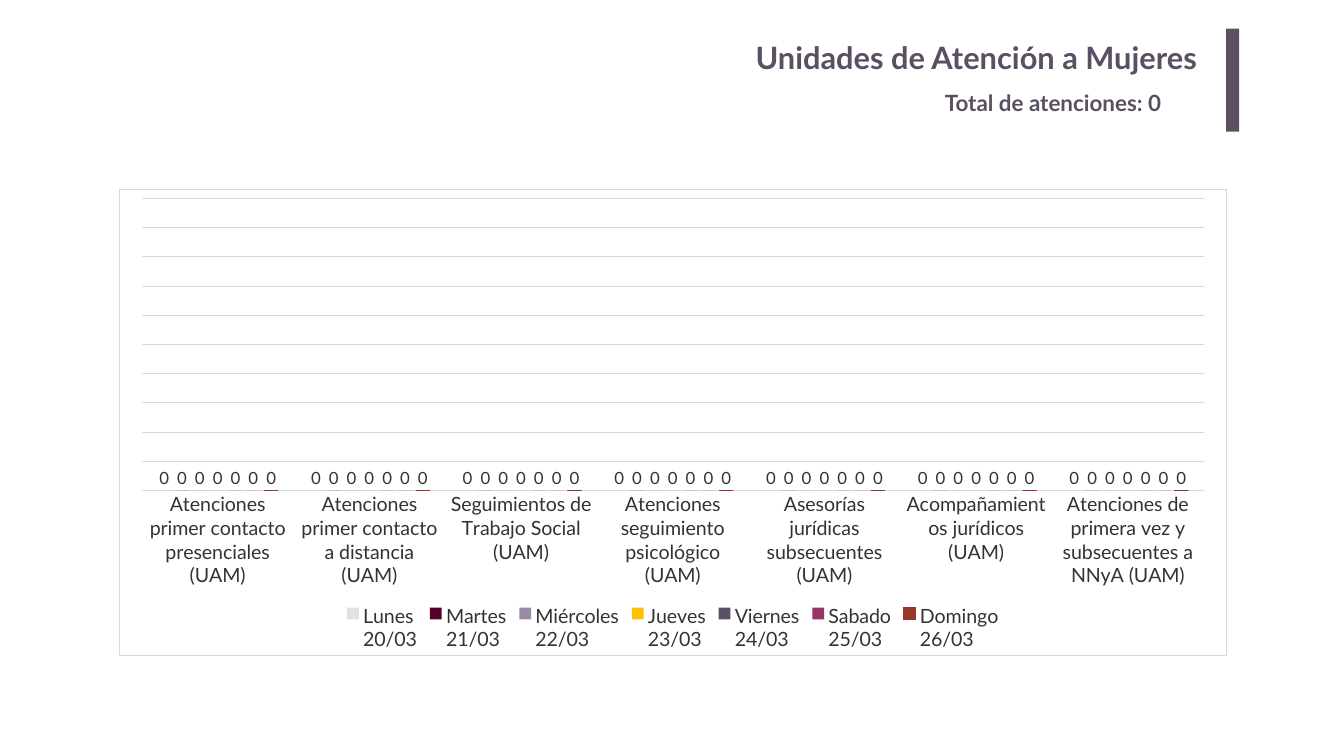
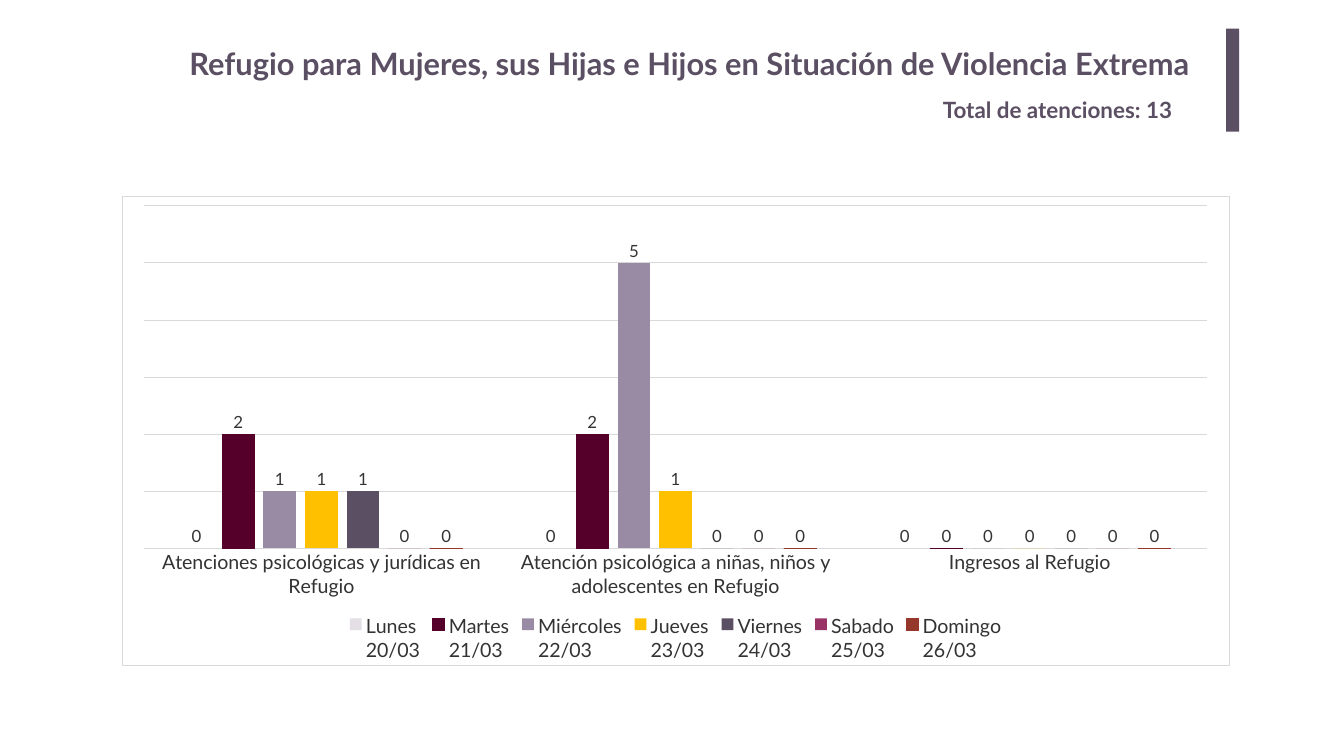
from dataclasses import dataclass

from lxml import etree
from pptx import Presentation
from pptx import util as u
from pptx.chart import data as chart_data
from pptx.dml import color as dml
from pptx.enum import chart as charts, shapes, text
from pptx.oxml import ns

# Shared style
FONT = "Lato"
PURPLE, WHITE, DARK_GRAY, LIGHT_GRAY = "5B4F63", "FFFFFF", "333333", "D9D9D9"
TITLE_SIZE, TOTAL_SIZE, AXIS_SIZE, LABEL_SIZE = 44, 32, 28, 24
LINE_WIDTH = 0.75
TITLE_ONLY = 5


@dataclass(frozen=True)
class Box:
    left: float
    top: float
    width: float
    height: float

    def lengths(self) -> tuple:
        return tuple(u.Pt(n) for n in (self.left, self.top, self.width, self.height))


@dataclass(frozen=True)
class Day:
    name: str
    color: str


@dataclass(frozen=True)
class Report:
    title: str
    title_box: Box
    title_align: text.PP_ALIGN
    title_insets: tuple[float, float]
    total: int
    total_box: Box
    chart_box: Box
    categories: list[str]
    values: list[list[int]]  # one row per day
    outlined_days: tuple[int, ...]
    axis_maximum: float
    axis_step: float


ACCENT_BAR = Box(1751.76, 41.04, 18.72, 146.88)

DAYS = [
    Day("Lunes\n20/03", "E3DFE5"),
    Day("Martes\n21/03", "54002A"),
    Day("Miércoles\n22/03", "998BA3"),
    Day("Jueves\n23/03", "FFC000"),
    Day("Viernes\n24/03", PURPLE),
    Day("Sabado\n25/03", "993366"),
    Day("Domingo\n26/03", "95372B"),
]

REPORTS = [
    Report(
        title="Unidades de Atención a Mujeres",
        title_box=Box(263.52, 48.24, 1461.6, 73.44),
        title_align=text.PP_ALIGN.RIGHT,
        title_insets=(14.4, 7.2),
        total=0,
        total_box=Box(1342.8, 123.12, 382.32, 46.08),
        chart_box=Box(170.64, 269.28, 1581.12, 666.72),
        categories=[
            "Atenciones primer contacto presenciales (UAM)",
            "Atenciones primer contacto a distancia (UAM)",
            "Seguimientos de Trabajo Social (UAM)",
            "Atenciones seguimiento psicológico (UAM)",
            "Asesorías jurídicas subsecuentes (UAM)",
            "Acompañamientos jurídicos (UAM)",
            "Atenciones de primera vez y subsecuentes a NNyA (UAM)",
        ],
        values=[[0] * 7 for _ in DAYS],
        outlined_days=(6,),
        axis_maximum=1,
        axis_step=0.1,
    ),
    Report(
        title="Refugio para Mujeres, sus Hijas e Hijos en Situación de Violencia Extrema",
        title_box=Box(263.52, 60.48, 1492.56, 60.48),
        title_align=text.PP_ALIGN.LEFT,
        title_insets=(7.2, 3.6),
        total=13,
        total_box=Box(1339.92, 133.2, 385.2, 46.08),
        chart_box=Box(174.24, 280.08, 1581.84, 671.04),
        categories=[
            "Atenciones psicológicas y jurídicas en Refugio",
            "Atención psicológica a niñas, niños y adolescentes en Refugio",
            "Ingresos al Refugio",
        ],
        values=[[0, 0, 0], [2, 2, 0], [1, 5, 0], [1, 1, 0], [1, 0, 0], [0, 0, 0], [0, 0, 0]],
        outlined_days=(1, 6),
        axis_maximum=6,
        axis_step=1,
    ),
]


def rgb(color: str) -> dml.RGBColor:
    return dml.RGBColor.from_string(color)


def set_fill(target, color: str) -> None:
    target.fill.solid()
    target.fill.fore_color.rgb = rgb(color)


def set_line(target, color: str) -> None:
    target.line.width = u.Pt(LINE_WIDTH)
    target.line.color.rgb = rgb(color)


def set_font(font, size: float, color: str, bold: bool = False) -> None:
    font.name = FONT
    font.size = u.Pt(size)
    font.bold = bold
    font.color.rgb = rgb(color)


# Title, total and accent bar
def write_line(shape, words: str, size: float, insets: tuple[float, float],
               align: text.PP_ALIGN = text.PP_ALIGN.LEFT) -> None:
    frame = shape.text_frame
    frame.word_wrap = True
    frame.auto_size = text.MSO_AUTO_SIZE.NONE
    frame.vertical_anchor = text.MSO_ANCHOR.TOP
    frame.margin_left = frame.margin_right = u.Pt(insets[0])
    frame.margin_top = frame.margin_bottom = u.Pt(insets[1])
    paragraph = frame.paragraphs[0]
    paragraph.alignment = align
    run = paragraph.add_run()
    run.text = words
    set_font(run.font, size, PURPLE, bold=True)


def add_heading(slide, report: Report) -> None:
    title = slide.shapes.title
    title.left, title.top, title.width, title.height = report.title_box.lengths()
    write_line(title, report.title, TITLE_SIZE, report.title_insets, report.title_align)

    total = slide.shapes.add_textbox(*report.total_box.lengths())
    write_line(total, f"Total de atenciones: {report.total}", TOTAL_SIZE, (7.2, 3.6))

    bar = slide.shapes.add_shape(shapes.MSO_SHAPE.RECTANGLE, *ACCENT_BAR.lengths())
    bar.shadow.inherit = False
    set_fill(bar, PURPLE)
    bar.line.fill.background()


# Chart of attentions per day
def frame_chart(chart) -> None:
    """Give the chart area a white fill and a thin border."""
    properties = etree.Element(ns.qn("c:spPr"))
    fill = etree.SubElement(properties, ns.qn("a:solidFill"))
    etree.SubElement(fill, ns.qn("a:srgbClr"), val=WHITE)
    border = etree.SubElement(properties, ns.qn("a:ln"), w=str(u.Pt(LINE_WIDTH)))
    border_fill = etree.SubElement(border, ns.qn("a:solidFill"))
    etree.SubElement(border_fill, ns.qn("a:srgbClr"), val=LIGHT_GRAY)
    chart.element.find(ns.qn("c:chart")).addnext(properties)


def keep_labels_level(chart) -> None:
    """Make long category labels wrap instead of slanting."""
    for body in chart.element.xpath(".//c:catAx/c:txPr/a:bodyPr"):
        body.set("rot", "0")
        body.set("vert", "horz")


def format_axes(chart, report: Report) -> None:
    category_axis = chart.category_axis
    category_axis.major_tick_mark = charts.XL_TICK_MARK.NONE
    set_font(category_axis.tick_labels.font, AXIS_SIZE, DARK_GRAY)
    set_line(category_axis.format, LIGHT_GRAY)
    keep_labels_level(chart)

    value_axis = chart.value_axis
    value_axis.visible = False
    value_axis.minimum_scale = 0
    value_axis.maximum_scale = report.axis_maximum
    value_axis.major_unit = report.axis_step
    value_axis.has_major_gridlines = True
    set_line(value_axis.major_gridlines.format, LIGHT_GRAY)


def format_series(series, color: str, outlined: bool) -> None:
    series.invert_if_negative = False
    set_fill(series.format, color)
    if outlined:
        set_line(series.format, color)
    else:
        series.format.line.fill.background()
    labels = series.data_labels
    labels.show_value = True
    labels.position = charts.XL_LABEL_POSITION.OUTSIDE_END
    set_font(labels.font, LABEL_SIZE, DARK_GRAY)


def add_attention_chart(slide, report: Report) -> None:
    data = chart_data.CategoryChartData()
    data.categories = report.categories
    for day, values in zip(DAYS, report.values):
        data.add_series(day.name, values)
    chart = slide.shapes.add_chart(
        charts.XL_CHART_TYPE.COLUMN_CLUSTERED, *report.chart_box.lengths(), data
    ).chart

    set_font(chart.font, 10, "000000")
    chart.has_title = False
    chart.has_legend = True
    chart.legend.position = charts.XL_LEGEND_POSITION.BOTTOM
    chart.legend.include_in_layout = False
    set_font(chart.legend.font, AXIS_SIZE, DARK_GRAY)
    frame_chart(chart)
    format_axes(chart, report)

    plot = chart.plots[0]
    plot.vary_by_categories = False
    plot.gap_width = 219
    plot.overlap = -27
    for index, (series, day) in enumerate(zip(plot.series, DAYS)):
        format_series(series, day.color, index in report.outlined_days)


def main() -> None:
    presentation = Presentation()
    presentation.slide_width = u.Pt(1920.24)
    presentation.slide_height = u.Pt(1080)
    for report in REPORTS:
        slide = presentation.slides.add_slide(presentation.slide_layouts[TITLE_ONLY])
        set_fill(slide.background, WHITE)
        add_heading(slide, report)
        add_attention_chart(slide, report)
    presentation.save("out.pptx")


if __name__ == "__main__":
    main()
